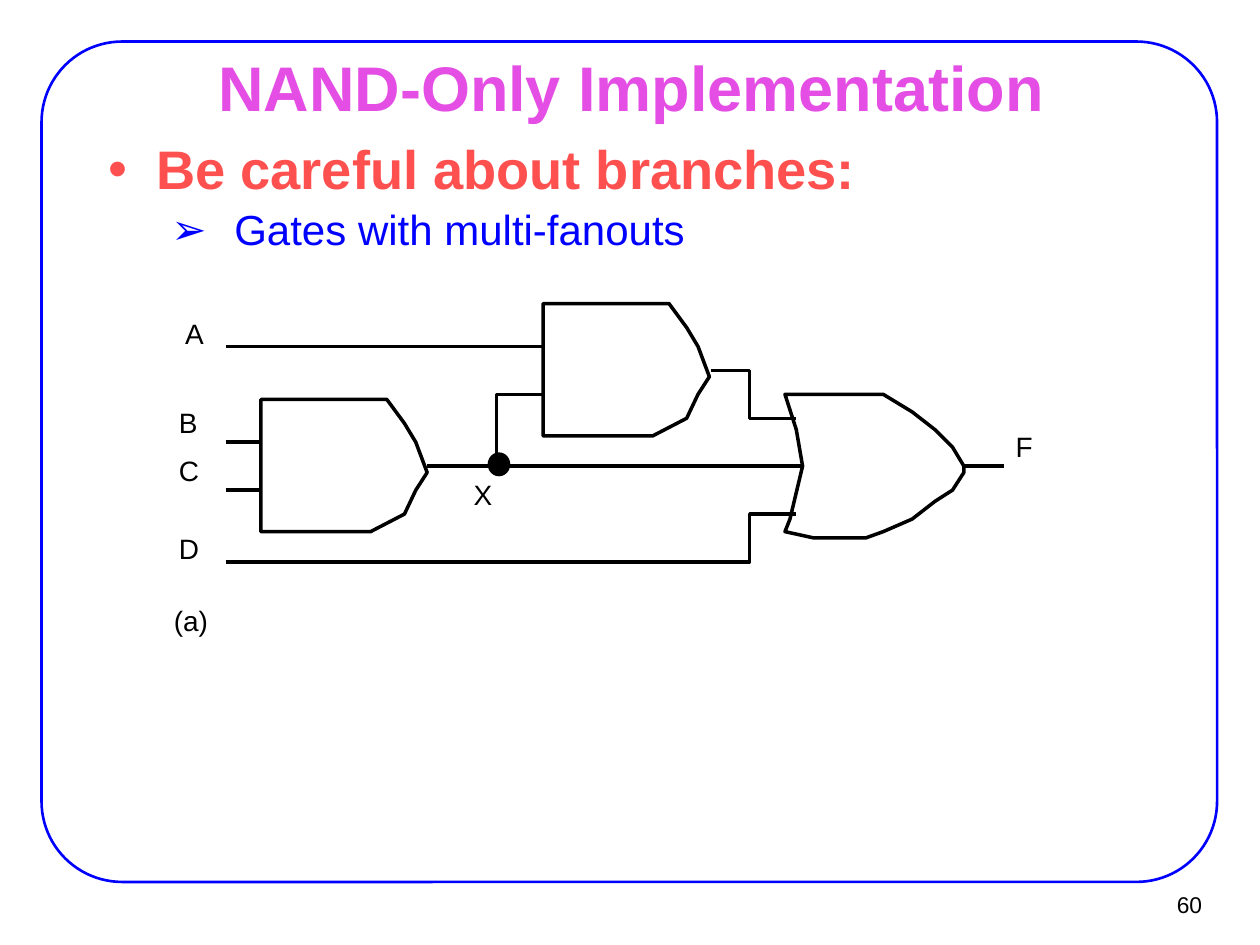
from lxml import etree
from pptx import Presentation
from pptx.dml.color import RGBColor
from pptx.enum.shapes import MSO_CONNECTOR, MSO_SHAPE
from pptx.enum.text import MSO_ANCHOR, PP_ALIGN
from pptx.oxml.ns import qn
from pptx.util import Inches, Pt

ROUND, OVAL = MSO_SHAPE.ROUNDED_RECTANGLE, MSO_SHAPE.OVAL
LINE = MSO_CONNECTOR.STRAIGHT
MID, TOP = MSO_ANCHOR.MIDDLE, MSO_ANCHOR.TOP
LEFT, MIDDLE, RIGHT = PP_ALIGN.LEFT, PP_ALIGN.CENTER, PP_ALIGN.RIGHT

FONT = "Arial"
HUE = {"ink": "000000", "paper": "FFFFFF", "blue": "0000FF",
       "pink": "E44EE4", "coral": "FF5050"}

# Content
TITLE = "NAND-Only Implementation"
PAGE = "60"
# text, format, colour, level, bullet, left margin, hanging indent, space before
POINTS = [
    ("Be careful about branches:",
     {"size": Pt(31), "bold": True}, "coral", 0, "•", 0.38, 0.38, 0),
    ("Gates with multi-fanouts",
     {"size": Pt(24), "bold": False}, "blue", 1, "➢", 1, 0.5, 4.8),
]
LABELS = [("A", 1.47, 2.51), ("B", 1.42, 3.22), ("C", 1.42, 3.6),
          ("D", 1.42, 4.22), ("F", 8.06, 3.41), ("X", 3.76, 3.79),
          ("(a)", 1.38, 4.79)]

# Gate outlines, measured from the top left corner of each gate
AND = [(0, 0), (1, 0), (1.14, 0.19), (1.23, 0.34), (1.32, 0.58),
       (1.23, 0.72), (1.14, 0.91), (0.87, 1.05), (0, 1.05)]
OR = [(0, 0), (0.78, 0), (1.01, 0.14), (1.19, 0.28), (1.33, 0.42),
      (1.42, 0.57), (1.42, 0.62), (1.33, 0.76), (1.19, 0.85),
      (1.01, 0.99), (0.78, 1.09), (0.64, 1.14), (0.23, 1.14),
      (0, 1.09), (0.04, 0.99), (0.14, 0.57), (0.09, 0.28)]
GATES = [(AND, 2.07, 3.17), (AND, 4.31, 2.41), (OR, 6.23, 3.13)]

# Straight wires: left, right, height
WIRES = [(1.79, 4.31, 2.75), (1.79, 2.07, 3.51), (1.79, 2.07, 3.89),
         (3.94, 6.37, 3.7), (7.65, 7.97, 3.7)]
# Bent wires
BENDS = [
    [(3.39, 3.7), (3.94, 3.7), (3.94, 3.13), (4.31, 3.13)],
    [(5.64, 2.94), (5.95, 2.94), (5.95, 3.32), (6.32, 3.32)],
    [(1.79, 4.46), (5.95, 4.46), (5.95, 4.08), (6.32, 4.08)],
]

deck = Presentation()
deck.slide_width, deck.slide_height = Inches(10), Inches(7.5)
shapes = deck.slides.add_slide(deck.slide_layouts[6]).shapes


def rgb(name):
    return RGBColor.from_string(HUE[name])


def paint(shape, fill=None, line=None, width=2):
    shape.shadow.inherit = False
    if fill:
        shape.fill.solid()
        shape.fill.fore_color.rgb = rgb(fill)
    else:
        shape.fill.background()
    if line:
        shape.line.color.rgb = rgb(line)
        shape.line.width = Pt(width)
    else:
        shape.line.fill.background()


def frame(at, pad=(0, 0), anchor=TOP, wrap=True):
    body = shapes.add_textbox(*map(Inches, at)).text_frame
    across, down = map(Inches, pad)
    form = {"margin_left": across, "margin_right": across,
            "margin_top": down, "margin_bottom": down,
            "vertical_anchor": anchor, "word_wrap": wrap}
    for key, value in form.items():
        setattr(body, key, value)
    return body


def write(para, text, form, hue="ink", align=LEFT):
    para.alignment = align
    run = para.add_run()
    run.text = text
    for key, value in {"name": FONT, **form}.items():
        setattr(run.font, key, value)
    run.font.color.rgb = rgb(hue)


def trace(points, closed, fill=None):
    start, *rest = [(Inches(x), Inches(y)) for x, y in points]
    pen = shapes.build_freeform(*start)
    pen.add_line_segments(rest, close=closed)
    paint(pen.convert_to_shape(), fill, "ink")


# Border, page number and title
border = shapes.add_shape(ROUND, *map(Inches, (0.33, 0.33, 9.33, 6.67)))
border.adjustments[0] = 0.096
paint(border, line="blue", width=1.5)
page = frame((9.02, 6.99, 0.61, 0.37), (0.09, 0.04), MID, False)
write(page.paragraphs[0], PAGE, {"size": Pt(13)}, align=RIGHT)
title = frame((0.76, 0.44, 8.5, 0.49), (0.11, 0.06), MID)
write(title.paragraphs[0], TITLE, {"size": Pt(36), "bold": True},
      "pink", MIDDLE)

# Bullet points
body = frame((0.75, 1.07, 6.38, 1.18), (0.11, 0.06))
for i, (text, form, hue, level, mark, left, hang, gap) in enumerate(POINTS):
    para = body.add_paragraph() if i else body.paragraphs[0]
    para.level, para.line_spacing = level, 0.9
    if gap:
        para.space_before = Pt(gap)
    props = para._p.get_or_add_pPr()
    props.set("marL", str(Inches(left)))
    props.set("indent", str(-Inches(hang)))
    etree.SubElement(props, qn("a:buFont"), typeface=FONT)
    etree.SubElement(props, qn("a:buChar"), char=mark)
    write(para, text, form, hue)

# Gates, then wires over them
for outline, left, top in GATES:
    trace([(left + x, top + y) for x, y in outline], True, "paper")
for start, end, y in WIRES:
    wire = shapes.add_connector(LINE, *map(Inches, (start, y, end, y)))
    wire.line.color.rgb = rgb("ink")
    wire.line.width = Pt(2)
    etree.SubElement(wire._element.spPr, qn("a:effectLst"))
for bend in BENDS:
    trace(bend, False)

# Branch dot and labels
dot = shapes.add_shape(OVAL, *map(Inches, (3.87, 3.59, 0.18, 0.19)))
paint(dot, "ink")
for text, left, top in LABELS:
    label = frame((left, top, 0.35, 0.46), wrap=False)
    write(label.paragraphs[0], text, {"size": Pt(16)})

deck.save("out.pptx")
